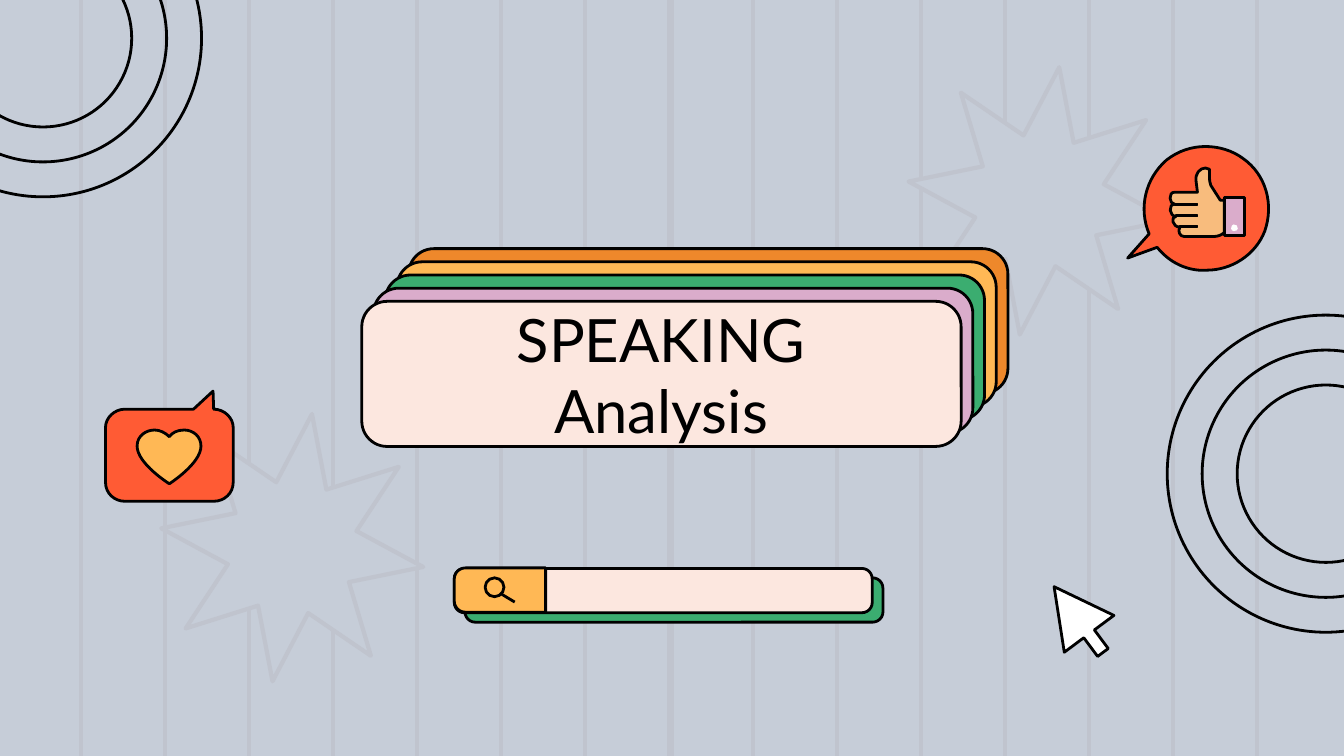
import pptx
import pptx.dml.color
import pptx.enum.shapes
import pptx.enum.text
import pptx.oxml.ns
import pptx.util
import lxml.etree

PRESET = pptx.enum.shapes.MSO_SHAPE
COLUMNS, ROWS = 100, 56.25
CELL = pptx.util.Inches(10) / COLUMNS
COLORS = {
    "back": "C6CDD8", "stripe": "C0C4CE", "ink": "000000", "white": "FFFFFF",
    "orange": "EE882B", "yellow": "FFB855", "green": "3BAD70", "lilac": "DAACCB",
    "cream": "FCE7DF", "red": "FF5B34", "skin": "F8BC7D", "crease": "512944",
}

BUBBLE = [
    (89.8, 20.1), (89.6, 20.1, 89.4, 20.1, 89.2, 20.1), (88, 20, 86.9, 19.4, 86.1, 18.4),
    (83.9, 19.2), (85.5, 17.4), (84.7, 15.5, 85.2, 13.3, 86.8, 11.9),
    (87.7, 11.2, 88.7, 10.9, 89.7, 10.9), (90.7, 10.9, 91.7, 11.2, 92.5, 11.8),
    (94.2, 13, 94.8, 15.2, 94.1, 17.2), (93.4, 19, 91.6, 20.1, 89.8, 20.1),
]
HAND = [
    (89.7, 12.5), (89.3, 12.5, 88.9, 12.9, 89, 13.5), (89.1, 14.3), (87.4, 14.3),
    (86.9, 14.3, 87, 15.2, 87.4, 15.2), (86.9, 15.2, 87, 16.1, 87.5, 16.1),
    (87.1, 16.1, 87.2, 16.9, 87.8, 16.9), (87.6, 17.2, 87.8, 17.6, 88.1, 17.6),
    (90.3, 17.6), (90.6, 17.6, 90.9, 17.5, 91.1, 17.3), (91.1, 14.9), (90.8, 14.9),
    (90.1, 13.8), (90, 13.6, 90, 13.4, 90, 13.1), (90, 12.6), (89.9, 12.5, 89.8, 12.5, 89.7, 12.5),
]
BUTTON = [
    (91.8, 16.7), (91.7, 16.7, 91.6, 16.8, 91.6, 17), (91.6, 17.1, 91.7, 17.2, 91.8, 17.2),
    (92, 17.2, 92.1, 17.1, 92.1, 17), (92.1, 16.8, 92, 16.7, 91.8, 16.7),
]
MESSAGE = [
    (15.9, 37.3), (16.7, 37.3, 17.35, 36.7, 17.35, 35.9), (17.35, 31.8),
    (17.35, 31.1, 16.7, 30.45, 15.9, 30.45), (15.85, 29.1), (14.4, 30.45), (9.3, 30.45),
    (8.5, 30.45, 7.85, 31.1, 7.85, 31.8), (7.85, 35.9), (7.85, 36.7, 8.5, 37.3, 9.3, 37.3),
]
HEART = [
    (13.7, 32), (14.4, 32, 14.95, 32.5, 14.95, 33.2), (14.95, 34.5, 12.6, 36, 12.6, 36),
    (12.6, 36, 10.2, 34.5, 10.2, 33.2), (10.2, 32.4, 10.9, 32, 11.5, 32),
    (11.9, 32, 12.3, 32.2, 12.6, 32.5), (12.8, 32.2, 13.2, 32, 13.7, 32),
]


def grid(*cells):
    return [round(cell * CELL) for cell in cells]


def rgb(name):
    return pptx.dml.color.RGBColor.from_string(COLORS[name])


def paint(shape, fill, line="ink", weight=1.5):
    shape.shadow.inherit = False
    if fill:
        shape.fill.solid()
        shape.fill.fore_color.rgb = rgb(fill)
    else:
        shape.fill.background()
    if line:
        shape.line.color.rgb = rgb(line)
        shape.line.width = pptx.util.Pt(weight)
    else:
        shape.line.fill.background()


def add_preset(page, preset, place, fill, adjust=(), turn=0, line="ink", weight=1.5):
    shape = page.shapes.add_shape(preset, *grid(*place))
    for index, value in enumerate(adjust):
        shape.adjustments[index] = value
    shape.rotation = turn
    paint(shape, fill, line, weight)


def add_line(page, start, end, color, weight):
    line = page.shapes.add_connector(
        pptx.enum.shapes.MSO_CONNECTOR.STRAIGHT, *grid(*start, *end))
    line.line.color.rgb = rgb(color)
    line.line.width = pptx.util.Pt(weight)
    properties = line.element.find(pptx.oxml.ns.qn("p:spPr"))
    lxml.etree.SubElement(properties, pptx.oxml.ns.qn("a:effectLst"))


def bend(shape, segment, part):
    segment.tag = pptx.oxml.ns.qn("a:cubicBezTo")
    for point in list(segment):
        segment.remove(point)
    for x, y in zip(grid(*part[::2]), grid(*part[1::2])):
        lxml.etree.SubElement(segment, pptx.oxml.ns.qn("a:pt"),
                              x=str(x - shape.left), y=str(y - shape.top))


def add_outline(page, outline, fill, line="ink", weight=1.5):
    start, *ends = [grid(*part[-2:]) for part in outline]
    builder = page.shapes.build_freeform(*start)
    builder.add_line_segments(ends, close=True)
    shape = builder.convert_to_shape()
    segments = list(shape.element.iter(pptx.oxml.ns.qn("a:lnTo")))
    for segment, part in zip(segments, outline[1:]):
        if len(part) == 6:
            bend(shape, segment, part)
    paint(shape, fill, line, weight)


def box_outline(left, top, right, bottom):
    return [(left, top), (left, bottom), (right, bottom), (right, top)]


def add_rings(page, x, y):
    for radius in (11.8, 9.2, 6.6):
        add_preset(page, PRESET.OVAL, (x - radius, y - radius, 2 * radius, 2 * radius), None)


def add_backdrop(page):
    page.background.fill.solid()
    page.background.fill.fore_color.rgb = rgb("back")
    for x in [50] + [6.05 + 6.25 * index for index in range(15)]:
        add_line(page, (x, 0), (x, ROWS), "stripe", 2.25)
    for left, top in ((11.9, 30.7), (67.5, 4.9)):
        add_preset(page, PRESET.STAR_8_POINT, (left, top, 19.7, 20.1), "back",
                   (0.25,), 8.4, "stripe", 2.25)
    add_rings(page, 3.2, 2.85)
    add_rings(page, 98.65, 35.25)


def add_title_cards(page):
    for index, color in enumerate(("orange", "yellow", "green", "lilac", "cream")):
        place = (30.4 - 0.87 * index, 18.5 + 0.98 * index, 44.6, 10.8)
        add_preset(page, PRESET.ROUNDED_RECTANGLE, place, color, (0.175,))


def add_title(page, text):
    title = page.shapes.title
    page.shapes.element.append(title.element)
    title.left, title.top, title.width, title.height = grid(30.05, 22.5, 38.3, 11.2)
    frame = title.text_frame
    frame.text = text
    frame.word_wrap = True
    frame.auto_size = pptx.enum.text.MSO_AUTO_SIZE.NONE
    frame.vertical_anchor = pptx.enum.text.MSO_ANCHOR.TOP
    frame.margin_left, frame.margin_top, frame.margin_right, frame.margin_bottom = grid(1, 0, 1, 1)
    para = frame.paragraphs[0]
    para.alignment = pptx.enum.text.PP_ALIGN.CENTER
    font = para.runs[0].font
    font.name, font.size = "Lato", pptx.util.Pt(32)
    font.color.rgb = rgb("ink")


def add_like_bubble(page):
    add_outline(page, BUBBLE, "red")
    add_outline(page, HAND, "skin")
    add_outline(page, box_outline(91.1, 14.7, 92.6, 17.5), "lilac")
    for left, top in ((87.4, 15.15), (87.5, 16), (87.8, 16.8)):
        add_outline(page, box_outline(left, top, 89.1, top + 0.1), "crease", weight=0.75)
    add_outline(page, BUTTON, "white", line=None)


def add_heart_message(page):
    add_outline(page, MESSAGE, "red")
    add_outline(page, HEART, "yellow")


def add_search_bar(page):
    for left, top, color in ((34.6, 43, "green"), (33.8, 42.3, "cream")):
        add_preset(page, PRESET.ROUNDED_RECTANGLE, (left, top, 31.1, 3.3), color, (0.232,))
    add_preset(page, PRESET.ROUND_2_SAME_RECTANGLE, (35.55, 40.5, 3.3, 6.8), "yellow",
               (0.25, 0), 270)
    add_preset(page, PRESET.OVAL, (36.1, 43, 1.4, 1.4), None)
    add_line(page, (37.3, 44.2), (38.3, 44.8), "ink", 1.5)


def main():
    deck = pptx.Presentation()
    deck.slide_width, deck.slide_height = grid(COLUMNS, ROWS)
    page = deck.slides.add_slide(deck.slide_layouts[5])
    add_backdrop(page)
    add_title_cards(page)
    add_title(page, "SPEAKING Analysis")
    add_preset(page, PRESET.RIGHT_ARROW, (77.2, 43.8, 6.1, 4.6), "white", (0.213, 0.95), 233.4)
    add_like_bubble(page)
    add_heart_message(page)
    add_search_bar(page)
    deck.save("out.pptx")


if __name__ == "__main__":
    main()
